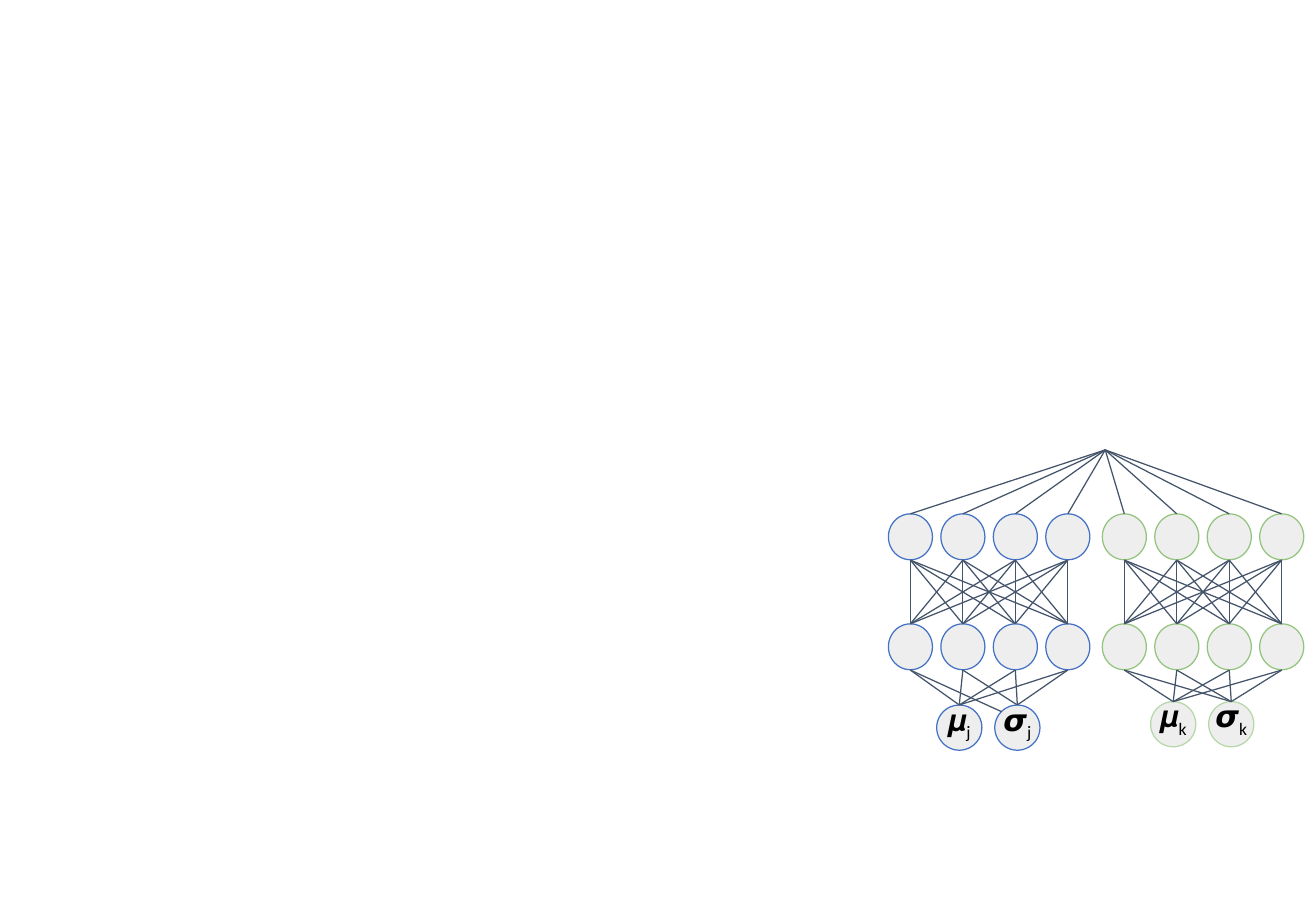
import itertools

import pptx
import pptx.dml.color
import pptx.enum.shapes
import pptx.enum.text
import pptx.util
from lxml import etree

Pt = pptx.util.Pt
RGBColor = pptx.dml.color.RGBColor

BLACK = RGBColor(0x00, 0x00, 0x00)
GREY = RGBColor(0xEE, 0xEE, 0xEE)
SLATE = RGBColor(0x44, 0x54, 0x6A)
BLUE = RGBColor(0x44, 0x72, 0xC4)
GREEN = RGBColor(0x93, 0xC4, 0x7D)
PALE_GREEN = RGBColor(0xB6, 0xD7, 0xA8)

NODE_WIDTH, NODE_HEIGHT, NODE_PITCH = 26.1, 27.2, 31.1
NODES_PER_LAYER = 4
UPPER_TOP, LOWER_TOP = 304.6, 369.8
OUTPUT_SIZE = 26.8
OUTPUT_OFFSETS = (29, 63.4)
APEX = (655.1, 266.7)
LAYER_GAP = 0.2

# first node centre, index letter, node line, output line, output top
BRANCHES = (
    (539.6, "j", BLUE, BLUE, 417.9),
    (666.4, "k", GREEN, PALE_GREEN, 415.9),
)
TEXT_FORMAT = {
    "margin_left": 0,
    "margin_top": 0,
    "margin_right": 0,
    "margin_bottom": Pt(7.2),
    "word_wrap": False,
    "vertical_anchor": pptx.enum.text.MSO_ANCHOR.MIDDLE,
}
FONT_FORMAT = {"name": "Calibri", "size": Pt(18)}

presentation = pptx.Presentation()
presentation.slide_width = Pt(780)
presentation.slide_height = Pt(540)
slide = presentation.slides.add_slide(presentation.slide_layouts[6])


def add_circle(center_x, top, width, height, line_color):
    shape = slide.shapes.add_shape(
        pptx.enum.shapes.MSO_SHAPE.OVAL,
        Pt(center_x - width / 2), Pt(top), Pt(width), Pt(height))
    shape.shadow.inherit = False
    shape.fill.solid()
    shape.fill.fore_color.rgb = GREY
    shape.line.color.rgb = line_color
    shape.line.width = Pt(0.75)
    return shape


def add_edge(start, end):
    connector = slide.shapes.add_connector(
        pptx.enum.shapes.MSO_CONNECTOR.STRAIGHT,
        *(Pt(value) for value in (*start, *end)))
    connector.line.color.rgb = SLATE
    connector.line.width = Pt(0.75)
    etree.SubElement(connector._element.spPr, pptx.oxml.ns.qn("a:effectLst"))


for first_x, index_letter, node_color, output_color, output_top in BRANCHES:
    node_centers = [first_x + NODE_PITCH * i for i in range(NODES_PER_LAYER)]
    output_centers = [first_x + offset for offset in OUTPUT_OFFSETS]

    for top, center_x in itertools.product((UPPER_TOP, LOWER_TOP), node_centers):
        add_circle(center_x, top, NODE_WIDTH, NODE_HEIGHT, node_color)

    for symbol, center_x in zip("𝝁𝞼", output_centers):
        output = add_circle(center_x, output_top, OUTPUT_SIZE, OUTPUT_SIZE, output_color)
        for name, value in TEXT_FORMAT.items():
            setattr(output.text_frame, name, value)
        paragraph = output.text_frame.paragraphs[0]
        paragraph.alignment = pptx.enum.text.PP_ALIGN.CENTER
        for text in (symbol, index_letter):
            run = paragraph.add_run()
            run.text = text
            for name, value in FONT_FORMAT.items():
                setattr(run.font, name, value)
            run.font.color.rgb = BLACK
        run._r.get_or_add_rPr().set("baseline", "-25000")

    for center_x in node_centers:
        add_edge((center_x, UPPER_TOP), APEX)
    for start_x, end_x in itertools.product(node_centers, node_centers):
        add_edge((start_x, UPPER_TOP + NODE_HEIGHT + LAYER_GAP), (end_x, LOWER_TOP))
    for start_x, end_x in itertools.product(node_centers, output_centers):
        end = (end_x, output_top)
        if index_letter == "j" and (start_x, end_x) == (node_centers[0], output_centers[1]):
            # this edge meets the upper left of its circle
            end = (end_x - 9.3, output_top + 4)
        add_edge((start_x, LOWER_TOP + NODE_HEIGHT + LAYER_GAP), end)

presentation.save("out.pptx")
